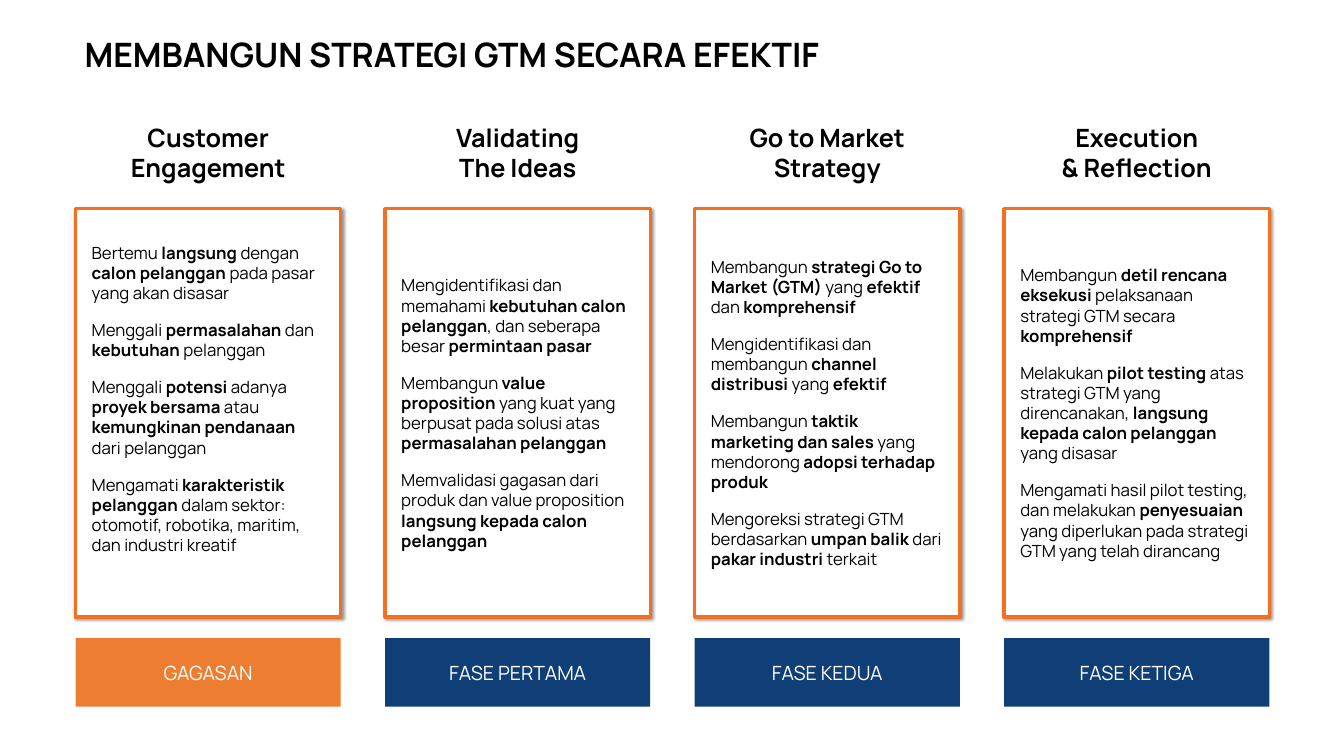
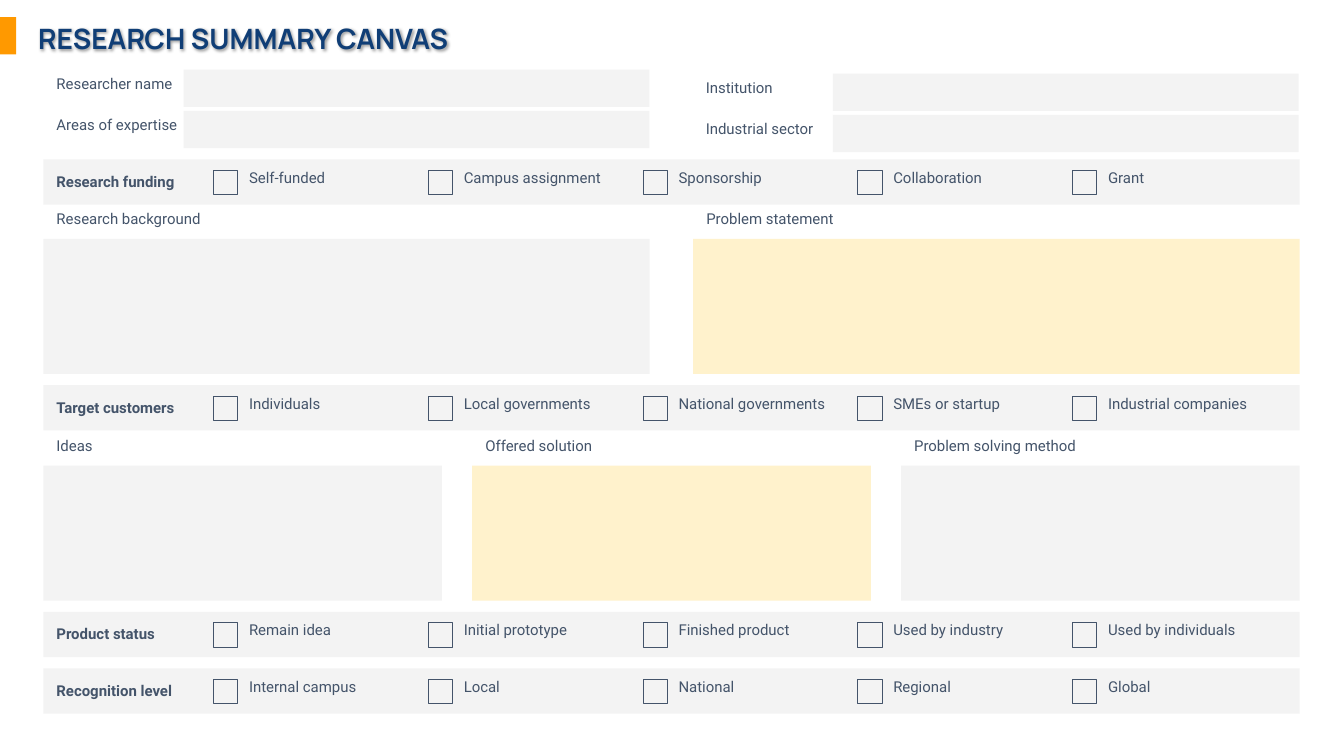
from dataclasses import dataclass
from typing import NamedTuple, Optional

import pptx
from lxml import etree
from pptx import slide as sl
from pptx import util as u
from pptx.dml.color import RGBColor
from pptx.enum import shapes as es
from pptx.enum import text as et
from pptx.oxml import ns
from pptx.shapes import autoshape as au
from pptx.shapes import shapetree as st


@dataclass(frozen=True)
class Theme:
    head: str = "Manrope"
    body: str = "Roboto"
    black: str = "000000"
    white: str = "FFFFFF"
    navy: str = "103E76"
    slate: str = "44546A"
    frame: str = "F36F22"
    orange: str = "ED7D31"
    amber: str = "FF9900"
    grey: str = "F3F3F3"
    cream: str = "FFF2CC"
    title: float = 24
    canvas: float = 20
    lead: float = 18
    phase: float = 14
    card: float = 12
    label: float = 10.7


T = Theme()


class Box(NamedTuple):
    left: float
    top: float
    width: float
    height: float


class Style(NamedTuple):
    font: str
    size: float
    color: str
    bold: bool = False
    align: et.PP_ALIGN = et.PP_ALIGN.LEFT
    gap: float = 0


class Pad(NamedTuple):
    left: float = 0.1
    top: float = 0.05
    right: float = 0.1
    bottom: float = 0.05


@dataclass(frozen=True)
class Stage:
    lead: list[str]
    points: list[str]
    phase: str
    color: str = T.navy
    pad: Pad = Pad(0.16, 0.05, 0.16, 0.05)


class Field(NamedTuple):
    label: str
    left: float
    top: float


class Band(NamedTuple):
    label: str
    top: float
    picks: list[str]


class Row(NamedTuple):
    """Equal panels side by side; the one named in key is tinted."""
    top: float
    gap: float
    labels: list[str]
    key: str


CENTER = et.PP_ALIGN.CENTER
LEAD = Style(T.head, T.lead, T.black, True, CENTER)
POINT = Style(T.head, T.card, T.black, gap=12)
PHASE = Style(T.head, T.phase, T.white, align=CENTER)
LABEL = Style(T.body, T.label, T.slate)
STRONG = LABEL._replace(bold=True)
WIDE = Pad(0.13, 0.13, 0.13, 0.13)

STAGES = [
    Stage(["Customer Engagement"], [
        "Bertemu *langsung *dengan *calon pelanggan *pada pasar yang akan disasar",
        "Menggali *permasalahan* dan *kebutuhan *pelanggan",
        "Menggali *potensi *adanya *proyek bersama *atau "
        "*kemungkinan pendanaan *dari pelanggan",
        "Mengamati *karakteristik pelanggan *dalam sektor: otomotif, robotika, "
        "maritim, dan industri kreatif",
    ], "GAGASAN", T.orange, Pad(0.16, 0.05, 0.16, 0.33)),
    Stage(["Validating", "The Ideas"], [
        "Mengidentifikasi dan memahami *kebutuhan calon pelanggan*, "
        "dan seberapa besar *permintaan pasar*",
        "Membangun *value proposition *yang kuat yang berpusat pada solusi atas "
        "*permasalahan pelanggan*",
        "Memvalidasi gagasan dari produk dan value proposition "
        "*langsung kepada calon pelanggan*",
    ], "FASE PERTAMA"),
    Stage(["Go to Market", "Strategy"], [
        "Membangun *strategi Go to Market (GTM) *yang *efektif* dan *komprehensif*",
        "Mengidentifikasi dan membangun *channel distribusi* yang *efektif*",
        "Membangun *taktik marketing dan sales *yang mendorong "
        "*adopsi terhadap produk*",
        "Mengoreksi strategi GTM berdasarkan *umpan balik *dari "
        "*pakar industri *terkait",
    ], "FASE KEDUA"),
    Stage(["Execution", "& Reflection"], [
        "Membangun *detil rencana eksekusi *pelaksanaan strategi GTM secara "
        "*komprehensif*",
        "Melakukan *pilot testing *atas strategi GTM yang direncanakan, "
        "*langsung kepada calon pelanggan *yang disasar",
        "Mengamati hasil pilot testing, dan melakukan *penyesuaian* yang "
        "diperlukan pada strategi GTM yang telah dirancang",
    ], "FASE KETIGA"),
]

FIELDS = [
    Field("Researcher name", 0.43, 0.69),
    Field("Areas of expertise", 0.43, 1.1),
    Field("Institution", 6.87, 0.73),
    Field("Industrial sector", 6.87, 1.14),
]

BANDS = [
    Band("Research funding", 1.58, ["Self-funded", "Campus assignment",
         "Sponsorship", "Collaboration", "Grant"]),
    Band("Target customers", 3.82, ["Individuals", "Local governments",
         "National governments", "SMEs or startup", "Industrial companies"]),
    Band("Product status", 6.07, ["Remain idea", "Initial prototype",
         "Finished product", "Used by industry", "Used by individuals"]),
    Band("Recognition level", 6.63, ["Internal campus", "Local", "National",
         "Regional", "Global"]),
]

ROWS = [
    Row(2.37, 0.43, ["Research background", "Problem statement"],
        "Problem statement"),
    Row(4.62, 0.3, ["Ideas", "Offered solution", "Problem solving method"],
        "Offered solution"),
]


def write(shape: au.Shape, lines: list[str], style: Style, pad: Pad = Pad(),
          anchor: et.MSO_ANCHOR = et.MSO_ANCHOR.TOP) -> None:
    """Fill a shape with paragraphs; text between asterisks is bold."""
    frame = shape.text_frame
    frame.word_wrap = True
    frame.vertical_anchor = anchor
    frame.margin_left, frame.margin_top = u.Inches(pad.left), u.Inches(pad.top)
    frame.margin_right = u.Inches(pad.right)
    frame.margin_bottom = u.Inches(pad.bottom)
    for i, line in enumerate(lines):
        para = frame.add_paragraph() if i else frame.paragraphs[0]
        para.alignment = style.align
        if i:
            para.space_before = u.Pt(style.gap)
        font = para.font
        font.name, font.size, font.bold = style.font, u.Pt(style.size), style.bold
        font.color.rgb = RGBColor.from_string(style.color)
        for j, part in enumerate(line.split("*")):
            if part:
                run = para.add_run()
                run.text = part
                if j % 2:
                    run.font.bold = True


def rect(tree: st._BaseGroupShapes, box: Box, fill: Optional[str] = None,
         line: Optional[str] = None, weight: float = 0.75) -> au.Shape:
    shape = tree.add_shape(es.MSO_SHAPE.RECTANGLE, *map(u.Inches, box))
    shape.shadow.inherit = False
    if fill:
        shape.fill.solid()
        shape.fill.fore_color.rgb = RGBColor.from_string(fill)
    else:
        shape.fill.background()
    if line:
        shape.line.color.rgb = RGBColor.from_string(line)
        shape.line.width = u.Pt(weight)
    else:
        shape.line.fill.background()
    return shape


def note(tree: st._BaseGroupShapes, box: Box, lines: list[str], style: Style,
         pad: Pad = Pad()) -> au.Shape:
    shape = tree.add_textbox(*map(u.Inches, box))
    write(shape, lines, style, pad)
    return shape


def shade(shape: au.Shape) -> None:
    """Give a shape a soft shadow down and to the right."""
    shape.shadow.inherit = False
    effect = shape._element.spPr.find(ns.qn("a:effectLst"))
    outer = etree.SubElement(effect, ns.qn("a:outerShdw"), blurRad=str(u.Pt(2)),
                             dist=str(u.Pt(1)), dir="2700000", algn="tl",
                             rotWithShape="0")
    color = etree.SubElement(outer, ns.qn("a:srgbClr"), val=T.black)
    etree.SubElement(color, ns.qn("a:alpha"), val="40000")


def title(slide: sl.Slide, words: str, box: Box, size: float,
          color: str) -> au.Shape:
    return note(slide.shapes, box, [words], Style(T.head, size, color, True))


def stages(slide: sl.Slide) -> None:
    title(slide, "MEMBANGUN STRATEGI GTM SECARA EFEKTIF",
          Box(0.74, 0.29, 8.02, 0.5), T.title, T.black)
    tree = slide.shapes
    left, step, width = 0.75, 3.07, 2.63
    middle = et.MSO_ANCHOR.MIDDLE
    for i, stage in enumerate(STAGES):
        x = left + i * step
        note(tree, Box(x, 1.16, width, 0.71), stage.lead, LEAD)
        card = rect(tree, Box(x, 2.07, width, 4.05), T.white, T.frame, 2.5)
        shade(card)
        write(card, stage.points, POINT, stage.pad, middle)
        phase = rect(tree, Box(x, 6.33, width, 0.68), stage.color)
        write(phase, [stage.phase], PHASE, anchor=middle)


def canvas(slide: sl.Slide) -> None:
    tree = slide.shapes
    left, full, high = 0.43, 12.46, 0.45
    rect(tree, Box(0, 0.17, 0.16, 0.37), T.amber)
    shade(title(slide, "RESEARCH SUMMARY CANVAS", Box(0.28, 0.16, 5.45, 0.44),
                T.canvas, T.navy))
    for field in FIELDS:
        rect(tree, Box(field.left + 1.39, field.top, 4.62, 0.37), T.grey)
        note(tree, Box(field.left, field.top - 0.04, 1.68, high),
             [field.label], LABEL, WIDE)
    for band in BANDS:
        bar = rect(tree, Box(left, band.top, full, high), T.grey)
        write(bar, [band.label], STRONG, WIDE)
        for i, pick in enumerate(band.picks):
            x = 2.12 + i * 2.13
            group = tree.add_group_shape().shapes
            rect(group, Box(x, band.top + 0.11, 0.24, 0.24), line=T.slate)
            note(group, Box(x + 0.22, band.top, 1.77, high), [pick], LABEL, WIDE)
    for row in ROWS:
        width = (full + row.gap) / len(row.labels) - row.gap
        for i, label in enumerate(row.labels):
            x = left + i * (width + row.gap)
            rect(tree, Box(x, row.top, width, 1.34),
                 T.cream if label == row.key else T.grey)
            note(tree, Box(x, row.top - 0.38, 2.81, high), [label], LABEL, WIDE)


def main() -> None:
    deck = pptx.Presentation()
    deck.slide_width, deck.slide_height = u.Inches(13.33), u.Inches(7.5)
    for draw in (stages, canvas):
        draw(deck.slides.add_slide(deck.slide_layouts[6]))
    deck.save("out.pptx")


if __name__ == "__main__":
    main()
